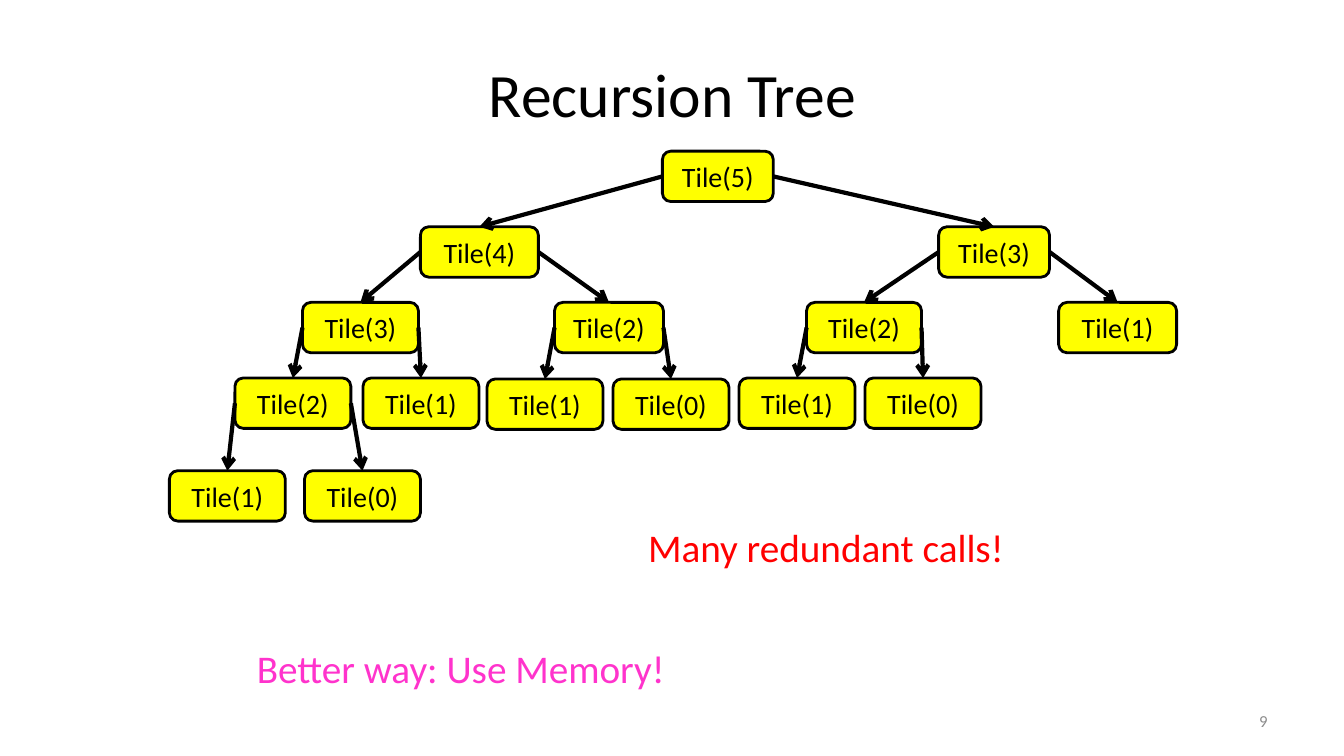
from lxml import etree
from pptx import Presentation
from pptx.dml.color import RGBColor
from pptx.enum.shapes import MSO_CONNECTOR, MSO_SHAPE
from pptx.enum.text import MSO_ANCHOR as ANCHOR, PP_ALIGN as ALIGN
from pptx.oxml.ns import qn
from pptx.util import Inches, Pt

BLACK = RGBColor(0x00, 0x00, 0x00)
WHITE = RGBColor(0xFF, 0xFF, 0xFF)
YELLOW = RGBColor(0xFF, 0xFF, 0x00)
RED = RGBColor(0xFF, 0x00, 0x00)
PINK = RGBColor(0xFF, 0x33, 0xCC)
GRAY = RGBColor(0x8C, 0x8C, 0x8C)

NODE_H = 0.5

# Each call: argument, left, top, width, then the calls it makes
CALL_TREE = (
    5, 6.57, 1.5, 1.1,
    (4, 4.17, 2.25, 1.17,
     (3, 3, 3, 1.15,
      (2, 2.33, 3.75, 1.15,
       (1, 1.68, 4.67, 1.15),
       (0, 3.02, 4.67, 1.15)),
      (1, 3.6, 3.75, 1.15)),
     (2, 5.5, 3, 1.08,
      (1, 4.83, 3.76, 1.15),
      (0, 6.08, 3.76, 1.15))),
    (3, 9.31, 2.25, 1.1,
     (2, 8, 3, 1.14,
      (1, 7.33, 3.75, 1.15),
      (0, 8.58, 3.75, 1.15)),
     (1, 10.5, 3, 1.17)),
)


def write(tf, text, align, **font):
    p = tf.paragraphs[0]
    p.alignment = align
    r = p.add_run()
    r.text = text
    r.font.color.rgb = font.pop("color")
    for name, value in {"name": "Calibri", **font}.items():
        setattr(r.font, name, value)


def add_text(s, text, box, size, color, align=ALIGN.LEFT,
             anchor=ANCHOR.TOP, wrap=True):
    tf = s.shapes.add_textbox(*map(Inches, box)).text_frame
    tf.word_wrap = wrap
    tf.vertical_anchor = anchor
    write(tf, text, align, size=Pt(size), color=color)


def add_node(s, n, left, top, width):
    sp = s.shapes.add_shape(MSO_SHAPE.ROUNDED_RECTANGLE,
                            *map(Inches, (left, top, width, NODE_H)))
    sp.shadow.inherit = False
    sp.fill.solid()
    sp.fill.fore_color.rgb = YELLOW
    sp.line.color.rgb = BLACK
    sp.line.width = Pt(2)
    sp.text_frame.vertical_anchor = ANCHOR.MIDDLE
    write(sp.text_frame, f"Tile({n})", ALIGN.CENTER, size=Pt(20), color=BLACK)


def add_arrow(s, x1, y1, x2, y2):
    cxn = s.shapes.add_connector(MSO_CONNECTOR.STRAIGHT,
                                 *map(Inches, (x1, y1, x2, y2)))
    cxn.line.color.rgb = BLACK
    cxn.line.width = Pt(3)
    ln = cxn.line._get_or_add_ln()
    etree.SubElement(ln, qn("a:tailEnd"), type="arrow")
    etree.SubElement(ln.getparent(), qn("a:effectLst"))


def add_tree(s, n, left, top, width, *calls):
    add_node(s, n, left, top, width)
    # Arrows run from the side of the caller to the top of each call
    for side_x, call in zip((left, left + width), calls):
        add_tree(s, *call)
        _, x, y, w = call[:4]
        add_arrow(s, side_x, top + NODE_H / 2, x + w / 2, y)


def main():
    prs = Presentation()
    prs.slide_width, prs.slide_height = Inches(13.33), Inches(7.5)
    s = prs.slides.add_slide(prs.slide_layouts[6])
    s.background.fill.solid()
    s.background.fill.fore_color.rgb = WHITE

    # Title and slide number
    add_text(s, "Recursion Tree", (0.67, 0.3, 12, 1.25), 44, BLACK,
             ALIGN.CENTER, ANCHOR.MIDDLE)
    add_text(s, "9", (9.56, 6.95, 3.11, 0.4), 12, GRAY,
             ALIGN.RIGHT, ANCHOR.MIDDLE)

    # Recursion tree
    add_tree(s, *CALL_TREE)

    # Remarks
    add_text(s, "Many redundant calls!", (6.33, 5.14, 3.77, 0.57), 28, RED,
             wrap=False)
    add_text(s, "Better way: Use Memory!", (2.45, 6.34, 4.3, 0.57), 28, PINK,
             wrap=False)

    prs.save("out.pptx")


if __name__ == "__main__":
    main()
